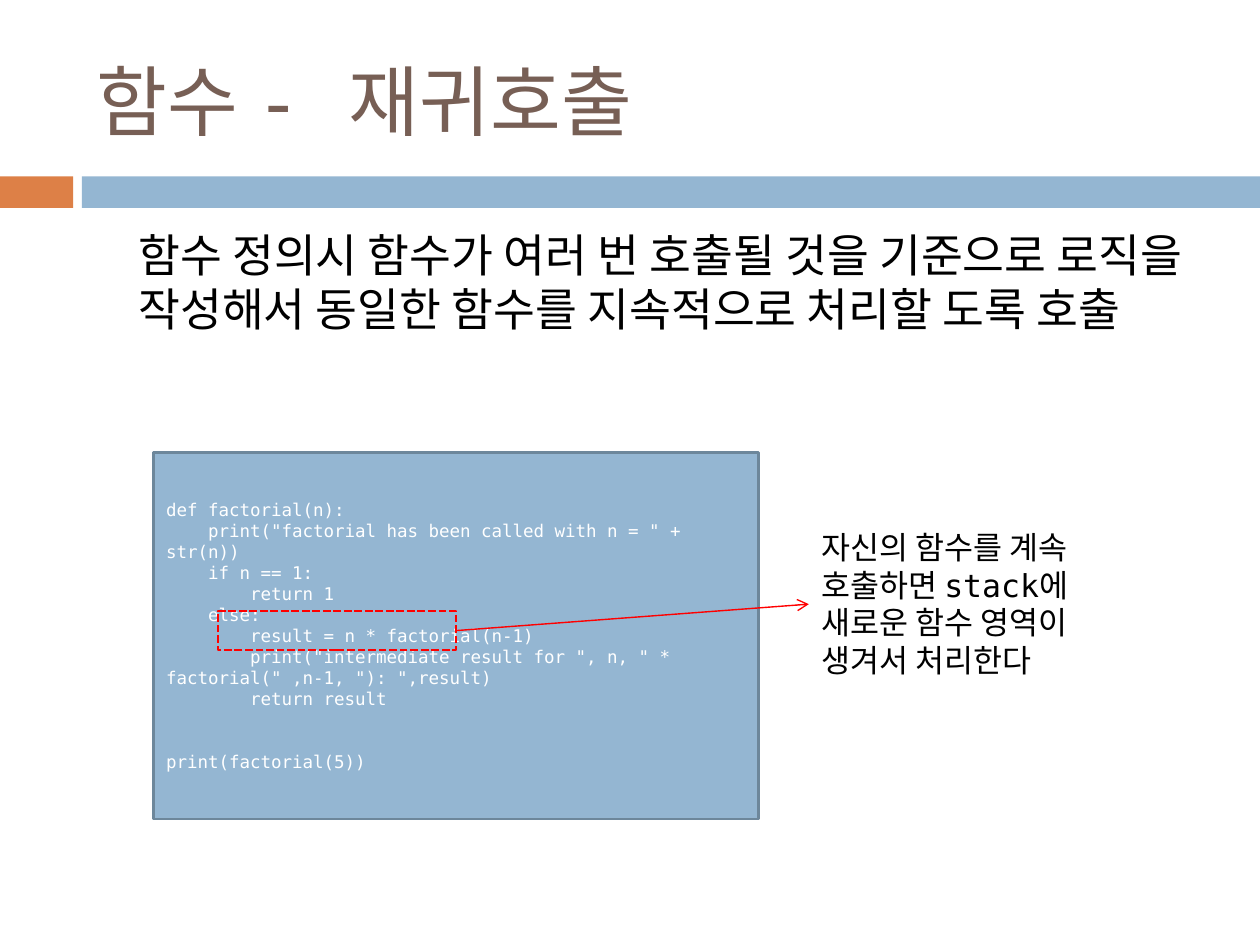
from lxml.etree import SubElement
from pptx import Presentation
from pptx.dml.color import RGBColor
from pptx.enum.dml import MSO_LINE
from pptx.enum.shapes import MSO_CONNECTOR, MSO_SHAPE
from pptx.enum.text import MSO_ANCHOR as Anchor, PP_ALIGN as Align
from pptx.oxml.ns import qn
from pptx.util import Inches, Pt

WHITE = RGBColor(0xFF, 0xFF, 0xFF)
BLACK = RGBColor(0, 0, 0)
RED = RGBColor(0xFF, 0, 0)
BROWN = RGBColor(0x77, 0x5F, 0x55)
ORANGE = RGBColor(0xDD, 0x80, 0x47)
BLUE = RGBColor(0x94, 0xB6, 0xD2)
SLATE = RGBColor(0x6D, 0x87, 0x9B)

FONT = "DejaVu Sans Mono"
COLUMNS, ROWS = 100, 75
LEFT_SIDE, RIGHT_SIDE = 1, 3

CODE = """def factorial(n):
    print("factorial has been called with n = " + str(n))
    if n == 1:
        return 1
    else:
        result = n * factorial(n-1)
        print("intermediate result for ", n, " * factorial(" ,n-1, "): ",result)
        return result
print(factorial(5))"""


def write(shape, text, size, color=BLACK, anchor=Anchor.TOP, indent=0, last_gap=0):
    """Fill a shape with one paragraph per line; last_gap is space before the last."""
    frame = shape.text_frame
    frame.word_wrap = True
    frame.vertical_anchor = anchor
    for number, line in enumerate(text.split("\n")):
        para = frame.add_paragraph() if number else frame.paragraphs[0]
        para.alignment = Align.LEFT
        if indent:
            para._p.get_or_add_pPr().set("marL", str(Inches(indent)))
        span = para.add_run()
        span.text = line
        span.font.name = FONT
        span.font.size = Pt(size)
        span.font.color.rgb = color
    if last_gap:
        para.space_before = Pt(last_gap)


class SlideBuilder:
    """Places elements by columns and rows of a fine grid over the slide."""

    def __init__(self, deck):
        self.column = deck.slide_width / COLUMNS
        self.row = deck.slide_height / ROWS
        self.shapes = deck.slides.add_slide(deck.slide_layouts[6]).shapes

    def place(self, left, top, width, height):
        return (round(left * self.column), round(top * self.row),
                round(width * self.column), round(height * self.row))

    def text(self, area, text, size, **style):
        box = self.shapes.add_textbox(*self.place(*area))
        write(box, text, size, **style)
        return box

    def rectangle(self, area, fill=None, line=None, dash=None):
        box = self.shapes.add_shape(MSO_SHAPE.RECTANGLE, *self.place(*area))
        box.shadow.inherit = False
        if fill is None:
            box.fill.background()
        else:
            box.fill.solid()
            box.fill.fore_color.rgb = fill
        if line is None:
            box.line.fill.background()
        else:
            box.line.color.rgb = line
            box.line.width = Pt(1.5)
            if dash is not None:
                box.line.dash_style = dash
        return box

    def arrow(self, start, end, color):
        """Join the right side of start to the left side of end."""
        link = self.shapes.add_connector(MSO_CONNECTOR.STRAIGHT, 0, 0, 0, 0)
        link.begin_connect(start, RIGHT_SIDE)
        link.end_connect(end, LEFT_SIDE)
        link.line.color.rgb = color
        link.line.width = Pt(0.79)
        SubElement(link.line._get_or_add_ln(), qn("a:tailEnd"), type="arrow")
        SubElement(link._element.spPr, qn("a:effectLst"))


def main():
    deck = Presentation()
    deck.slide_width, deck.slide_height = Inches(10), Inches(7.5)
    page = SlideBuilder(deck)

    page.rectangle((0, 14, 5.8, 2.5), fill=ORANGE)
    page.rectangle((6.5, 14, 93.5, 2.5), fill=BLUE)
    page.text((6.7, 2.5, 89.2, 10.8), "함수 - 재귀호출", 44,
              color=BROWN, anchor=Anchor.MIDDLE)
    page.text((5, 17.5, 90, 13.7),
              "함수 정의시 함수가 여러 번 호출될 것을 기준으로 로직을 작성해서 "
              "동일한 함수를 지속적으로 처리할 도록 호출", 26, indent=0.5)

    listing = page.rectangle((12.2, 35.9, 48, 29.1), fill=BLUE, line=SLATE)
    write(listing, CODE, 10, color=WHITE, anchor=Anchor.MIDDLE, last_gap=24)
    highlight = page.rectangle((17.3, 48.5, 18.9, 3.1), line=RED,
                               dash=MSO_LINE.SQUARE_DOT)
    remark = page.text((64.2, 41.4, 24.4, 13.1),
                       "자신의 함수를 계속 호출하면 stack에 새로운 함수 영역이 "
                       "생겨서 처리한다", 18)
    page.arrow(highlight, remark, RED)

    deck.save("out.pptx")


if __name__ == "__main__":
    main()
